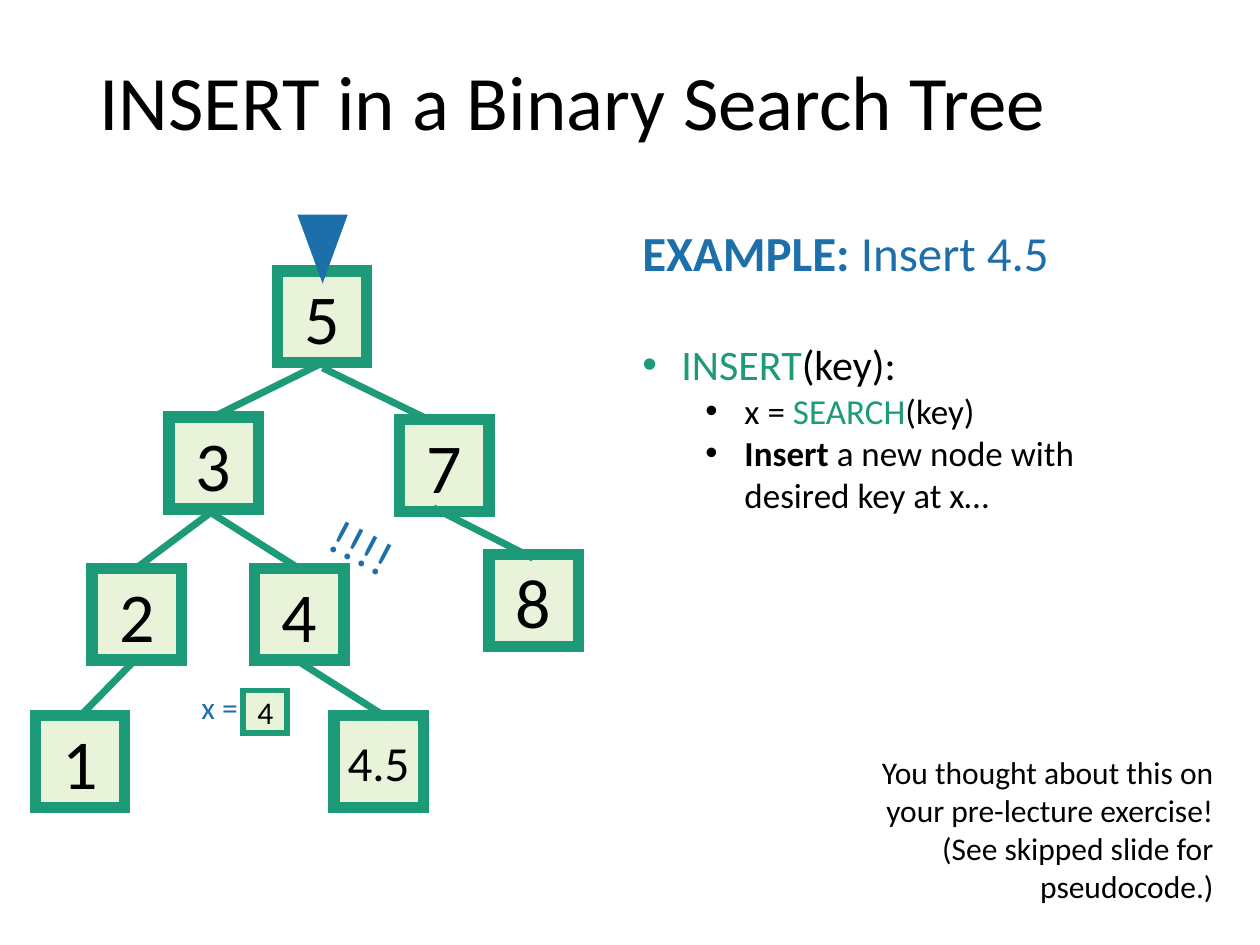
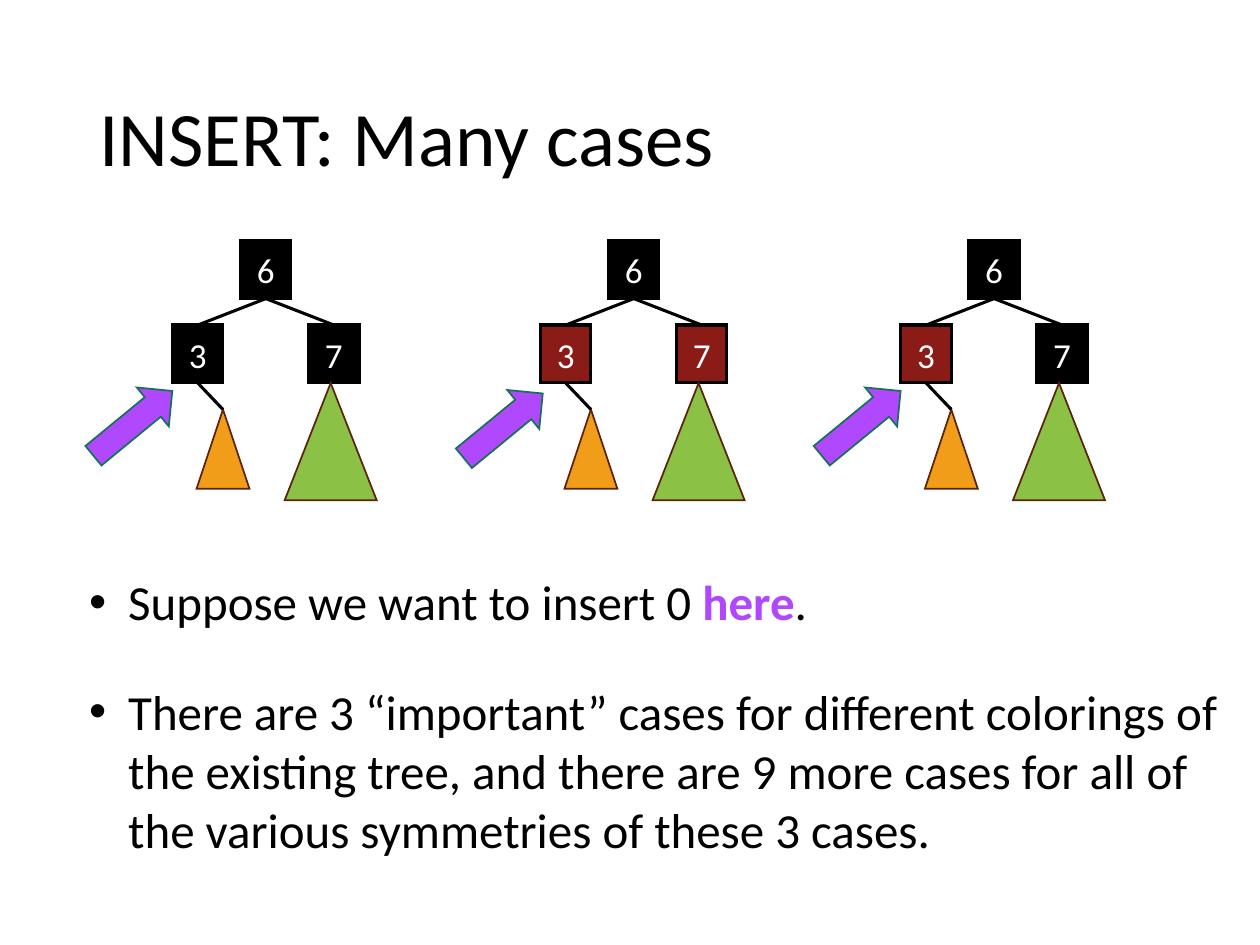
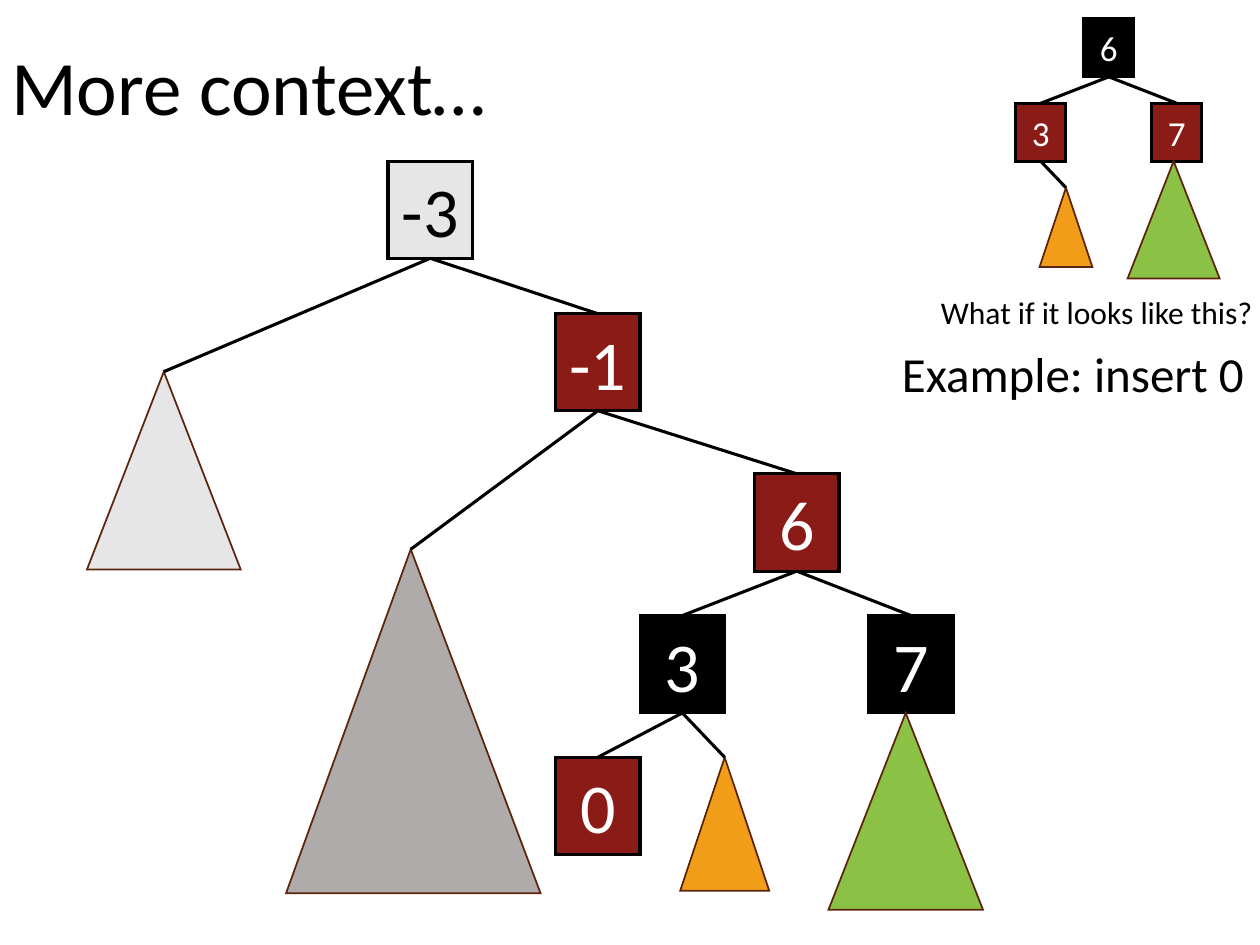
"""Build three slides about inserting keys into search trees."""
import dataclasses
import typing

import lxml.etree
import pptx
import pptx.dml.color
import pptx.enum.shapes
import pptx.enum.text
import pptx.oxml.ns
import pptx.shapes.autoshape
import pptx.shapes.shapetree
import pptx.slide
import pptx.util

COLUMNS, ROWS = 100, 75
CELL = pptx.util.Inches(10) / COLUMNS
FONT = "Calibri"
TITLE_SIZE = 44
INDENT = 0.31
COLORS = {
    "black": "000000", "white": "FFFFFF", "red": "8B1B17",
    "green": "1D9A78", "mint": "E8F3DA", "blue": "1D6FA9",
    "leaf": "8BC145", "orange": "F19D19", "brown": "5C240C",
    "purple": "B049FD", "teal": "157259", "light": "E7E6E6", "grey": "AFABAB",
}
PRESET = pptx.enum.shapes.MSO_SHAPE
ALIGN = pptx.enum.text.PP_ALIGN
MIDDLE = pptx.enum.text.MSO_ANCHOR.MIDDLE
Shapes = pptx.shapes.shapetree.SlideShapes | pptx.shapes.shapetree.GroupShapes


class Point(typing.NamedTuple):
    """A place counted in grid columns and rows."""
    column: float
    row: float


@dataclasses.dataclass(frozen=True)
class Box:
    """A grid area; peak is the share of its width where a triangle's apex lies."""
    left: float
    top: float
    width: float
    height: float
    peak: float = 0.5

    def apex(self) -> Point:
        """Return the point where an edge arrives."""
        return Point(self.left + self.width * self.peak, self.top)

    def foot(self) -> Point:
        """Return the point where edges leave."""
        return Point(self.left + self.width / 2, self.top + self.height)

    def emu(self) -> tuple[int, ...]:
        """Return the area in slide units."""
        return tuple(grid(n) for n in (self.left, self.top, self.width, self.height))


class Look(typing.NamedTuple):
    """Fill, outline and preset geometry of a shape."""
    fill: str
    outline: str
    points: float
    preset: PRESET = PRESET.RECTANGLE


class Run(typing.NamedTuple):
    """Words that share one format."""
    text: str
    size: float
    color: str = "black"
    bold: bool = False


@dataclasses.dataclass(frozen=True)
class Line:
    """A paragraph; level 0 is plain, 1 and 2 are bulleted."""
    runs: tuple[Run, ...]
    level: int = 0
    format: dict[str, typing.Any] = dataclasses.field(default_factory=dict)


class Case(typing.NamedTuple):
    """A three-node tree with the colours of its two children."""
    left: float
    top: float
    three: str
    seven: str
    root: str = "black"


MINT_NODE = Look("mint", "green", 6.5)
SMALL_MINT_NODE = Look("mint", "green", 3.25)


def grid(cells: float) -> int:
    """Convert grid cells to slide units."""
    return round(cells * CELL)


def rgb(color: str) -> pptx.dml.color.RGBColor:
    """Look up a named colour."""
    return pptx.dml.color.RGBColor.from_string(COLORS[color])


def apply_format(target: typing.Any, values: dict[str, typing.Any]) -> None:
    """Set every format value on the target."""
    for name, value in values.items():
        setattr(target, name, value)


def add_element(parent: typing.Any, tag: str, **attributes: str) -> None:
    """Append a drawing element."""
    lxml.etree.SubElement(parent, pptx.oxml.ns.qn(tag), attributes)


def write(frame: typing.Any, lines: typing.Iterable[Line], **frame_format: typing.Any) -> None:
    """Fill a text frame with paragraphs."""
    apply_format(frame, {"word_wrap": True} | frame_format)
    for index, line in enumerate(lines):
        paragraph = frame.add_paragraph() if index else frame.paragraphs[0]
        if line.level:
            margin = INDENT + 0.5 * (line.level - 1)
            paragraph.level = line.level - 1
            properties = paragraph._p.get_or_add_pPr()
            properties.set("marL", str(pptx.util.Inches(margin)))
            properties.set("indent", str(-pptx.util.Inches(INDENT)))
            add_element(properties, "a:buFont", typeface="Arial")
            add_element(properties, "a:buChar", char="•")
        apply_format(paragraph, line.format)
        for words in line.runs:
            run = paragraph.add_run()
            run.text = words.text
            apply_format(run.font, {"name": FONT, "size": pptx.util.Pt(words.size), "bold": words.bold})
            run.font.color.rgb = rgb(words.color)


def add_text(shapes: Shapes, box: Box, *lines: Line, rotation: float = 0, **frame_format: typing.Any) -> None:
    """Place a text box."""
    label = shapes.add_textbox(*box.emu())
    label.rotation = rotation
    write(label.text_frame, lines, **frame_format)


def add_figure(shapes: Shapes, box: Box, look: Look, rotation: float = 0) -> pptx.shapes.autoshape.Shape:
    """Place a filled and outlined preset shape."""
    figure = shapes.add_shape(look.preset, *box.emu())
    figure.rotation = rotation
    figure.shadow.inherit = False
    figure.fill.solid()
    figure.fill.fore_color.rgb = rgb(look.fill)
    figure.line.color.rgb = rgb(look.outline)
    figure.line.width = pptx.util.Pt(look.points)
    add_element(figure.element.spPr.find(pptx.oxml.ns.qn("a:ln")), "a:miter", lim="800000")
    return figure


def add_node(shapes: Shapes, box: Box, key: str, look: Look, size: float, ink: str) -> Box:
    """Place a tree node with its key."""
    node = add_figure(shapes, box, look)
    line = Line((Run(key, size, ink),), format={"alignment": ALIGN.CENTER})
    write(node.text_frame, [line], word_wrap=False, vertical_anchor=MIDDLE)
    return box


def add_subtree(shapes: Shapes, box: Box, fill: str) -> Box:
    """Place a triangle that stands for a subtree."""
    triangle = add_figure(shapes, box, Look(fill, "brown", 1, PRESET.ISOSCELES_TRIANGLE))
    triangle.adjustments[0] = box.peak
    return box


def add_edge(shapes: Shapes, start: Point, end: Point, color: str = "black", points: float = 1.75) -> None:
    """Connect two points."""
    edge = shapes.add_connector(
        pptx.enum.shapes.MSO_CONNECTOR.STRAIGHT, *(grid(n) for n in (*start, *end)))
    edge.line.color.rgb = rgb(color)
    edge.line.width = pptx.util.Pt(points)
    add_element(edge.element.spPr, "a:effectLst")


def add_case(shapes: Shapes, case: Case, scale: float = 1, size: float = 20) -> tuple[Box, Box]:
    """Draw a three-node tree and return its root and left child."""
    def place(left: float, top: float, width: float = 4, height: float = 4.6) -> Box:
        return Box(case.left + left * scale, case.top + top * scale, width * scale, height * scale)

    def node(key: str, left: float, top: float, fill: str) -> Box:
        return add_node(shapes, place(left, top), key, Look(fill, "black", 1.75), size, "white")

    seven = node("7", 10.8, 6.7, case.seven)
    three = node("3", 0, 6.7, case.three)
    six = node("6", 5.4, 0, case.root)
    for child in (three, seven):
        add_edge(shapes, six.foot(), child.apex())
    add_subtree(shapes, place(8.9, 11.3, 7.3, 9.3), "leaf")
    orange = add_subtree(shapes, place(1.9, 13.4, 4.2, 6.3), "orange")
    add_edge(shapes, three.foot(), orange.apex())
    return six, three


def add_slide(deck: typing.Any, title: str, box: Box) -> pptx.slide.Slide:
    """Add a blank slide with the shared title style."""
    slide = deck.slides.add_slide(deck.slide_layouts[6])
    line = Line((Run(title, TITLE_SIZE),), format={"line_spacing": 0.9})
    add_text(slide.shapes, box, line, vertical_anchor=MIDDLE)
    return slide


def build_insert(deck: typing.Any) -> None:
    """Show the insertion of 4.5 into a search tree."""
    shapes = add_slide(deck, "INSERT in a Binary Search Tree", Box(6.9, 4, 86.2, 8.7)).shapes
    places = {
        "4": (20.2, 45.1), "2": (7.3, 45.1), "8": (38.8, 44), "7": (31.7, 33.3),
        "1": (2.8, 56.8), "3": (13.4, 33.1), "5": (22, 21.5), "4.5": (26.5, 56.8),
    }
    for key, place in places.items():
        add_node(shapes, Box(*place, 7.1, 7.3), key, MINT_NODE, 40 if len(key) == 1 else 28, "black")
    edges = (
        ((25.6, 29.2), (33.6, 33.1)), ((34.4, 40.3), (42.3, 44.3)), ((16.6, 40.6), (23.7, 45.1)),
        ((25.6, 28.8), (16.9, 33.1)), ((16.7, 40.7), (10.8, 45.1)), ((10.8, 52.3), (6.4, 56.8)),
        ((23.7, 52.5), (30.8, 57)),
    )
    for start, end in edges:
        add_edge(shapes, Point(*start), Point(*end), "green", 4)
    add_figure(shapes, Box(23.7, 17.1, 3.8, 5.2), Look("blue", "blue", 1, PRESET.ISOSCELES_TRIANGLE), 180)
    add_text(shapes, Box(50, 17.2, 43.6, 5.7),
             Line((Run("EXAMPLE: ", 28, "blue", True), Run("Insert 4.5", 28, "blue"))))
    add_text(shapes, Box(50, 26.4, 43.1, 21.5),
             Line((Run("INSERT", 24, "green"), Run("(key):", 24)), 1),
             Line((Run("x = ", 20), Run("SEARCH", 20, "green"), Run("(key)", 20)), 2),
             Line((Run("Insert ", 20, bold=True), Run("a new node with desired key at x…", 20)), 2))
    add_text(shapes, Box(25.1, 41.1, 9.7, 5.7), Line((Run("!!!!", 28, "blue"),)), rotation=27.8)
    found = shapes.add_group_shape().shapes
    add_text(found, Box(15, 54.1, 7, 4), Line((Run("x =", 18, "blue"),)))
    add_node(found, Box(19.3, 54.8, 3.5, 3.4), "4", SMALL_MINT_NODE, 18, "black")
    reminder = ("You thought about this on your pre-lecture exercise!", "(See skipped slide for pseudocode.)")
    add_text(shapes, Box(67.2, 59.3, 30.1, 13.1),
             *(Line((Run(text, 18),), format={"alignment": ALIGN.RIGHT}) for text in reminder))


def build_cases(deck: typing.Any) -> None:
    """Show the three colourings of the tree."""
    shapes = add_slide(deck, "INSERT: Many cases", Box(6.9, 4, 86.2, 14.5)).shapes
    cases = (
        (Case(13.7, 19.1, "black", "black"), Point(6.5, 31.6)),
        (Case(42.9, 19.1, "red", "red"), Point(35.9, 31.8)),
        (Case(71.5, 19.1, "red", "black"), Point(64.3, 31.6)),
    )
    for case, arrow in cases:
        add_case(shapes.add_group_shape().shapes, case)
        add_figure(shapes, Box(*arrow, 8.1, 4), Look("purple", "teal", 1, PRESET.RIGHT_ARROW), 320.6)
    summary = ("There are 3 “important” cases for different colorings of the existing tree, "
               "and there are 9 more cases for all of the various symmetries of these 3 cases.")
    add_text(shapes, Box(6.1, 44.9, 92.6, 23.9),
             Line((Run("Suppose we want to insert 0 ", 28), Run("here", 28, "purple", True), Run(".", 28)), 1),
             Line((Run(summary, 28),), 1, {"space_before": pptx.util.Pt(29)}))


def build_context(deck: typing.Any) -> None:
    """Show the red-children case inside a larger tree."""
    shapes = add_slide(deck, "More context…", Box(-0.1, -0.1, 86.2, 14.5)).shapes
    six, three = add_case(shapes, Case(50.8, 37.6, "black", "black", "red"), 1.68, 40)
    add_case(shapes.add_group_shape().shapes, Case(80.6, 1.5, "red", "red"))
    add_text(shapes, Box(70.6, 26.8, 40.4, 19.9), Line((Run("Example: insert 0", 28),)))
    add_text(shapes, Box(73.7, 22.8, 31.6, 4), Line((Run("What if it looks like this?", 18),)))
    ancestors = (
        ("0", 44.1, 60.1, "red", "white"),
        ("-1", 44.1, 24.9, "red", "white"),
        ("-3", 30.8, 12.8, "light", "black"),
    )
    zero, minus_one, minus_three = (
        add_node(shapes, Box(left, top, 6.7, 7.7), key, Look(fill, "black", 1.75), 40, ink)
        for key, left, top, fill, ink in ancestors)
    grey = add_subtree(shapes, Box(22.7, 43.6, 20.2, 27.3, 0.49), "grey")
    light = add_subtree(shapes, Box(6.9, 29.5, 12.2, 15.7), "light")
    links = ((three, zero), (minus_one, six), (minus_one, grey), (minus_three, minus_one), (minus_three, light))
    for parent, child in links:
        add_edge(shapes, parent.foot(), child.apex())


def main() -> None:
    """Build and save the deck."""
    deck = pptx.Presentation()
    apply_format(deck, {"slide_width": grid(COLUMNS), "slide_height": grid(ROWS)})
    for build in (build_insert, build_cases, build_context):
        build(deck)
    deck.save("out.pptx")


if __name__ == "__main__":
    main()
